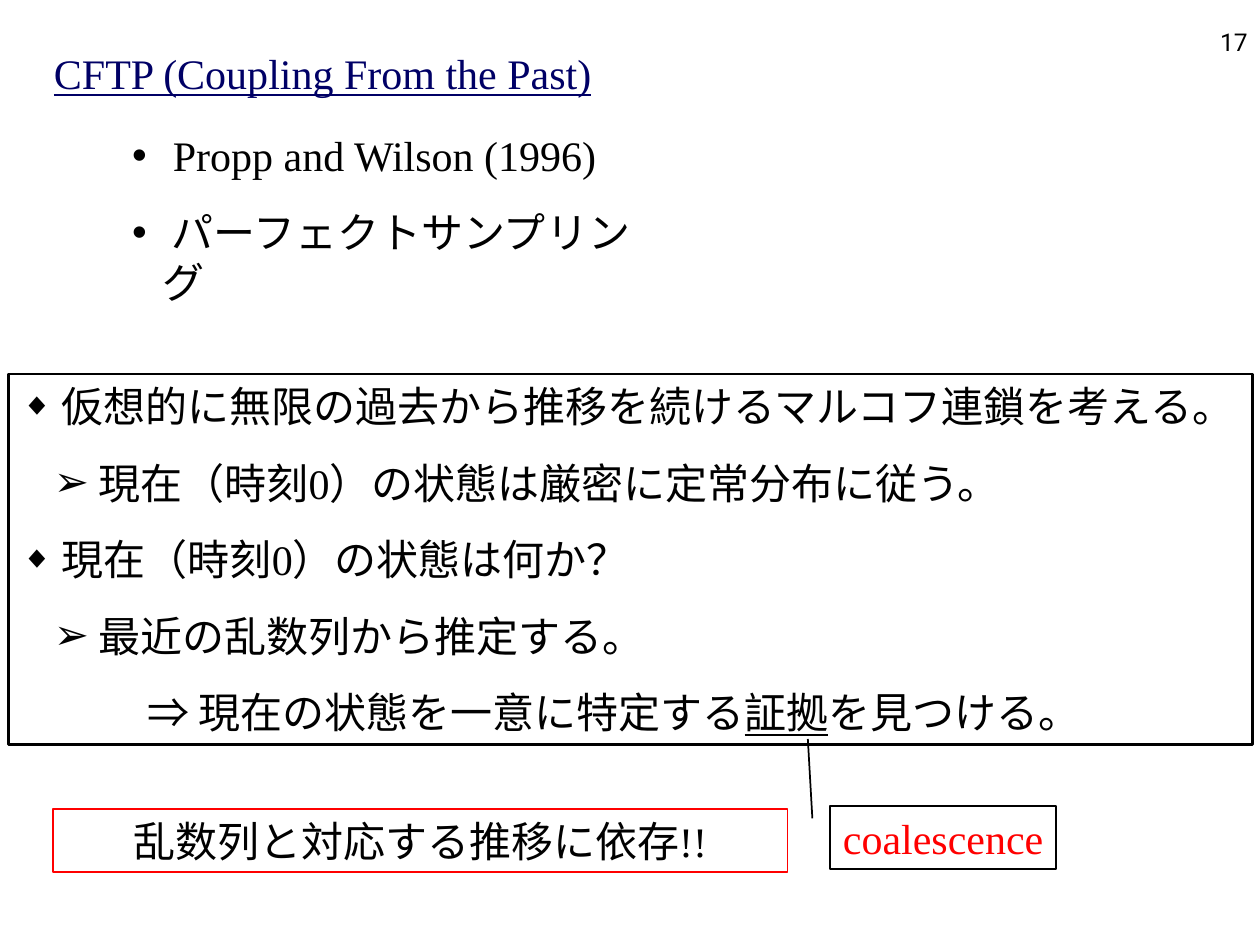
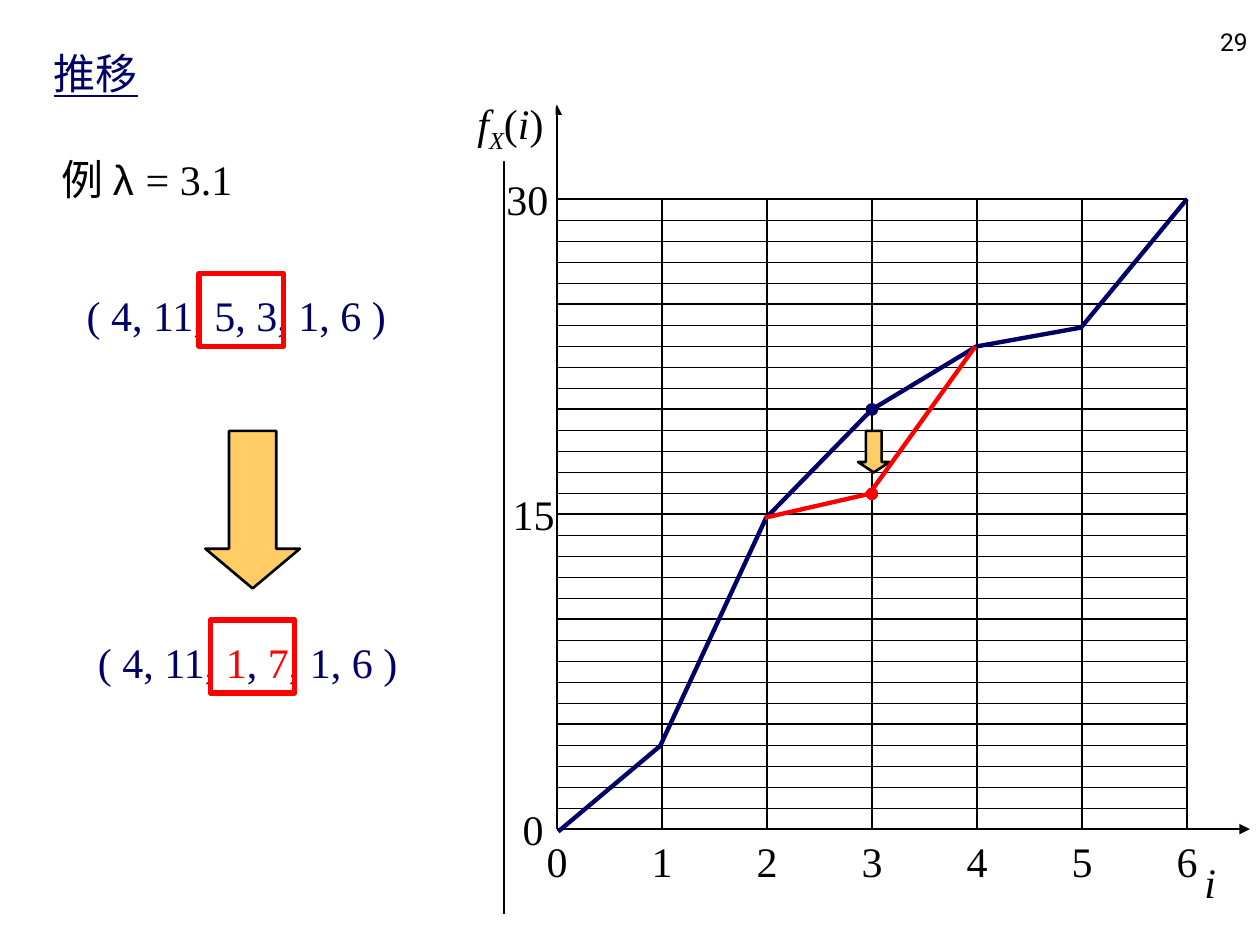
import pptx
import pptx.dml.color
import pptx.enum.shapes
import pptx.enum.text
import pptx.oxml.ns
import pptx.util
from lxml import etree

Inches = pptx.util.Inches
PRESET = pptx.enum.shapes.MSO_SHAPE
ALIGN = pptx.enum.text.PP_ALIGN
ANCHOR = pptx.enum.text.MSO_ANCHOR
qn = pptx.oxml.ns.qn

BLACK, WHITE, NAVY, RED, GOLD = "000000", "FFFFFF", "000066", "FF0000", "FFCC66"
BODY = {"name": "Times New Roman", "size": pptx.util.Pt(24), "color": BLACK}


def paint(target, value):
    """Give a fill, or the colour of a font, a solid colour; None clears it."""
    if value is None:
        target.background()
    else:
        target.solid()
        target.fore_color.rgb = pptx.dml.color.RGBColor.from_string(value)


def place(slide, box, paragraphs=(), preset=None, fill=None, line=None, width=1.5,
          align=ALIGN.LEFT, anchor=ANCHOR.MIDDLE, wrap=False, **style):
    """Add a text box or preset shape; a paragraph is a list of (text, format) runs."""
    box = [Inches(length) for length in box]
    if preset is None:
        shape = slide.shapes.add_textbox(*box)
    else:
        shape = slide.shapes.add_shape(preset, *box)
        shape.shadow.inherit = False
        paint(shape.fill, fill)
        paint(shape.line.fill, line)
        if line:
            shape.line.width = pptx.util.Pt(width)
    frame = shape.text_frame
    frame.word_wrap = wrap
    frame.vertical_anchor = anchor
    for number, runs in enumerate(paragraphs):
        paragraph = frame.add_paragraph() if number else frame.paragraphs[0]
        paragraph.alignment = align
        if number:
            paragraph.space_before = pptx.util.Pt(15)
        for text, changes in runs:
            run = paragraph.add_run()
            run.text = text
            for key, value in {**BODY, **style, **changes}.items():
                if key == "color":
                    paint(run.font.fill, value)
                else:
                    setattr(run.font, key, value)
    return shape


deck = pptx.Presentation()
deck.slide_width, deck.slide_height = Inches(10), Inches(7.5)

# Title and page number on both slides
slides = []
for title, page in (("CFTP (Coupling From the Past)", "17"), ("推移", "29")):
    slide = deck.slides.add_slide(deck.slide_layouts[6])
    place(slide, (0.33, 0.33, 8.52, 0.5), [[(title, {})]], anchor=ANCHOR.BOTTOM,
          wrap=True, color=NAVY, underline=True)
    place(slide, (7.92, 0, 2.08, 0.5), [[(page, {})]], align=ALIGN.RIGHT,
          anchor=ANCHOR.BOTTOM, wrap=True, name="Roboto", size=pptx.util.Pt(14))
    slides.append(slide)
cftp, transition = slides

# Slide 1: the idea of CFTP, and where it comes from
idea = place(cftp, (0.07, 2.97, 9.87, 2.94), [
    [(" 仮想的に無限の過去から推移を続けるマルコフ連鎖を考える。", {})],
    [(" 現在（時刻0）の状態は厳密に定常分布に従う。", {})],
    [(" 現在（時刻0）の状態は何か？", {})],
    [(" 最近の乱数列から推定する。", {})],
    [("⇒ 現在の状態を一意に特定する", {}), ("証拠", {"underline": True}), ("を見つける。", {})],
], PRESET.RECTANGLE, line=BLACK, anchor=ANCHOR.TOP)
background = place(cftp, (0.95, 1.18, 4.39, 1.11), [
    [(" Propp and Wilson (1996)", {})],
    [(" パーフェクトサンプリング", {})],
], wrap=True)

# Bullets: left margin, hang, character and size in percent
main, sub, result, dot = (0.24, 0.24, "◆", 75), (0.5, 0.24, "➢", 100), (1, 0, "", 100), (0.24, 0.24, "•", 100)
for shape, levels in ((idea, (main, sub, main, sub, result)), (background, (dot, dot))):
    for paragraph, (margin, hang, mark, percent) in zip(shape.text_frame.paragraphs, levels):
        properties = paragraph._p.get_or_add_pPr()
        properties.set("marL", str(Inches(margin)))
        properties.set("indent", str(-Inches(hang)))
        if mark:
            bullet_color = etree.SubElement(properties, qn("a:buClr"))
            etree.SubElement(bullet_color, qn("a:srgbClr"), val=BLACK)
            etree.SubElement(properties, qn("a:buSzPct"), val=str(percent * 1000))
            etree.SubElement(properties, qn("a:buFont"), typeface="Arial")
            etree.SubElement(properties, qn("a:buChar"), char=mark)

# The evidence is coalescence
coalescence = place(cftp, (6.59, 6.4, 1.79, 0.5), [[("coalescence", {})]],
                    PRESET.LINE_CALLOUT_1, line=BLACK, width=1, align=ALIGN.CENTER, color=RED)
for index, value in enumerate((0.19, -0.08, -1.07, -0.1)):
    coalescence.adjustments[index] = value
place(cftp, (0.42, 6.42, 5.83, 0.5), [[("乱数列と対応する推移に依存!!", {})]],
      PRESET.RECTANGLE, line=RED, width=1, align=ALIGN.CENTER, anchor=ANCHOR.TOP, wrap=True)

# Slide 2: divider, grid and axes of the plot
left, bottom, columns, top_value = 4.42, 6.58, 6, 30
column, unit = 5 / columns, 5 / top_value
right, top = left + 5, bottom - 5
rules = [(4, 1.25, 4, 7.25, 1.5, False)]
for value in range(1, top_value + 1):
    y = bottom - value * unit
    rules.append((left, y, right, y, 0.25 if value % 5 else 1.5, False))
for i in range(1, columns + 1):
    x = left + i * column
    rules.append((x, top, x, bottom, 1.25, False))
rules += [(left, bottom, 9.92, bottom, 1.5, True), (left, bottom, left, 0.83, 1.5, True)]
for x1, y1, x2, y2, width, arrow in rules:
    rule = transition.shapes.add_connector(
        pptx.enum.shapes.MSO_CONNECTOR.STRAIGHT, Inches(x1), Inches(y1), Inches(x2), Inches(y2))
    paint(rule.line.fill, BLACK)
    rule.line.width = pptx.util.Pt(width)
    if arrow:
        etree.SubElement(rule.line._get_or_add_ln(), qn("a:tailEnd"), type="triangle")
    etree.SubElement(rule._element.spPr, qn("a:effectLst"))

# Axis names and tick labels
italic = {"italic": True}
function = place(transition, (3.69, 0.72, 0.72, 0.56),
                 [[("f", italic), ("X", italic), ("(", {}), ("i", italic), (")", {})]],
                 PRESET.RECTANGLE, fill=WHITE)
function.text_frame.paragraphs[0].runs[1]._r.get_or_add_rPr().set("baseline", "-25000")
place(transition, (9.46, 6.75, 0.29, 0.5), [[("i", italic)]])
for i in range(columns + 1):
    place(transition, (left - 0.18 + i * column, bottom, 0.36, 0.5), [[(str(i), {})]], align=ALIGN.CENTER)
for value, x, width in ((0, 4.05, 0.36), (15, 3.97, 0.53), (30, 3.92, 0.53)):
    place(transition, (x, bottom - 0.25 - value * unit, width, 0.5), [[(str(value), {})]], align=ALIGN.CENTER)

# Example: the state before and after the move
place(transition, (0.39, 1.17, 1.71, 0.5),
      [[("例 ", {}), ("λ ", {"name": "Arial"}), ("= 3.1", {})]], anchor=ANCHOR.TOP)
changed = {"color": RED}
before = [("( 4, 11, 5, 3, 1, 6 )", {})]
after = [("( 4, 11, ", {}), ("1", changed), (", ", {}), ("7", changed), (", 1, 6 )", {})]
for state, x, y, frame_x in ((before, 0.58, 2.25, 1.58), (after, 0.67, 5, 1.67)):
    place(transition, (x, y, 2.59, 0.5), [state], align=ALIGN.CENTER, anchor=ANCHOR.TOP, color=NAVY)
    place(transition, (frame_x, y - 0.08, 0.67, 0.58), preset=PRESET.RECTANGLE, line=RED, width=3)

# Curves with the moved point, and an arrow for the move in the example and in the plot
old_curve = [(4.43, 6.6), (5.24, 5.92), (6.08, 4.11), (6.92, 3.25), (7.75, 2.75), (8.58, 2.6), (9.42, 1.58)]
new_curve = [(6.07, 4.11), (6.9, 3.92), (7.74, 2.75)]
moves = [((1.63, 3.42, 0.75, 1.25), 0.42), ((6.81, 3.42, 0.25, 0.33), 0.33)]
for points, color, dot_y, arrows in ((old_curve, NAVY, 3.21, moves), (new_curve, RED, 3.88, [])):
    corners = [(Inches(x), Inches(y)) for x, y in points]
    outline = transition.shapes.build_freeform(*corners[0])
    outline.add_line_segments(corners[1:], close=False)
    curve = outline.convert_to_shape()
    curve.shadow.inherit = False
    paint(curve.fill, None)
    paint(curve.line.fill, color)
    curve.line.width = pptx.util.Pt(2.5)
    for box, head in arrows:
        move = place(transition, box, preset=PRESET.DOWN_ARROW, fill=GOLD, line=BLACK)
        move.adjustments[1] = head
    place(transition, (6.88, dot_y, 0.08, 0.08), preset=PRESET.OVAL, fill=color, line=color)

deck.save("out.pptx")
